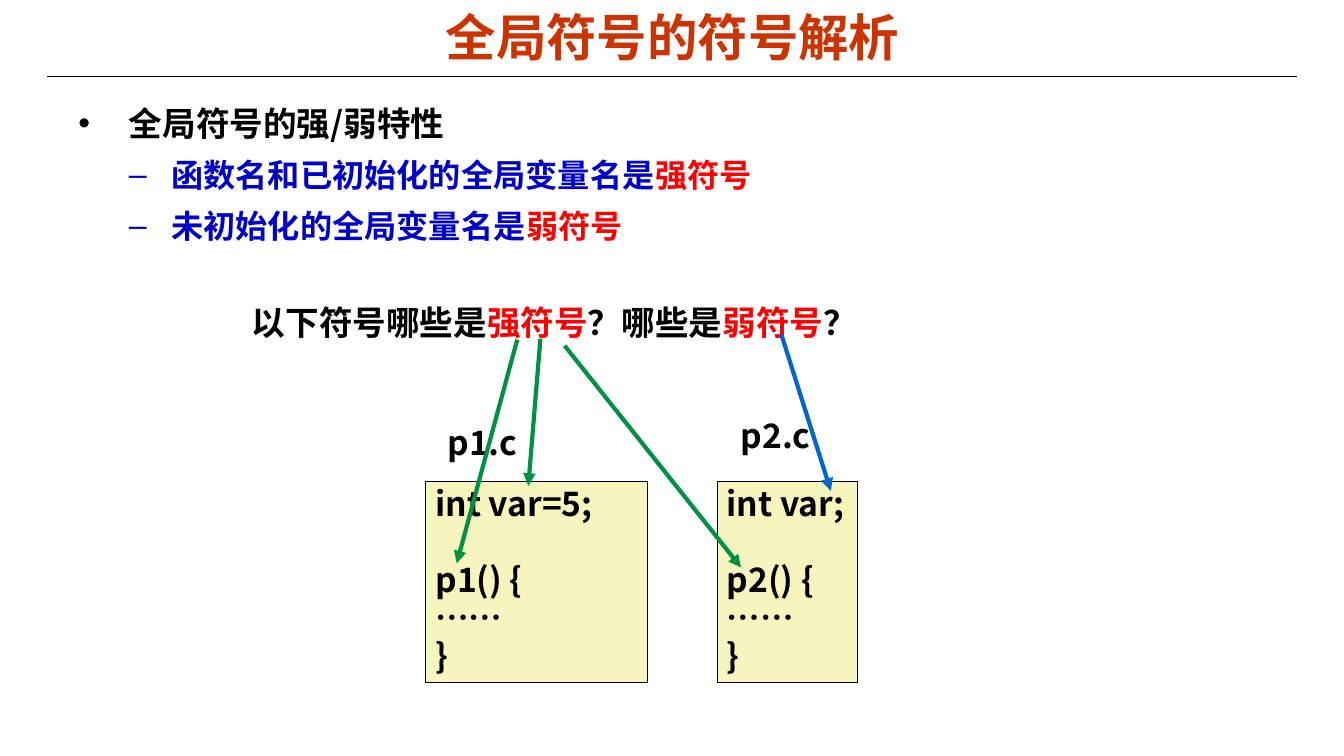
import pptx
import pptx.dml.color
import pptx.enum.shapes
import pptx.enum.text
import pptx.oxml
import pptx.oxml.ns
import pptx.util
from pptx.util import Inches, Pt

PP_ALIGN = pptx.enum.text.PP_ALIGN
ANCHOR = pptx.enum.text.MSO_ANCHOR
ARIAL, NOTO = "Arial", "Noto Sans CJK SC"
BLACK, RED, BLUE = "000000", "FF0000", "0000CC"
GREEN, ARROW_BLUE = "009242", "0066CC"


def rgb(color):
    return pptx.dml.color.RGBColor.from_string(color)


def add_element(parent, tag, **attrs):
    e = pptx.oxml.parse_xml(f"<{tag} {pptx.oxml.ns.nsdecls('a')}/>")
    for name, value in attrs.items():
        e.set(name, value)
    parent.append(e)


def add_run(p, text, size, color=BLACK, font=NOTO):
    r = p.add_run()
    r.text = text
    r.font.size = Pt(size)
    r.font.bold = True
    r.font.name = font
    r.font.color.rgb = rgb(color)
    add_element(r.font._element, "a:ea", typeface=NOTO)


def add_text(s, box, anchor=ANCHOR.TOP):
    tf = s.shapes.add_textbox(*map(Inches, box)).text_frame
    tf.word_wrap = True
    tf.vertical_anchor = anchor
    return tf


def add_bullet(p, char, left, hanging):
    pPr = p._p.get_or_add_pPr()
    pPr.set("marL", str(Inches(left)))
    pPr.set("indent", str(-Inches(hanging)))
    add_element(pPr, "a:buFont", typeface=ARIAL)
    add_element(pPr, "a:buChar", char=char)


def add_bullets(s, box, items):
    tf = add_text(s, box)
    for i, (level, runs) in enumerate(items):
        p = tf.add_paragraph() if i else tf.paragraphs[0]
        if level:
            add_bullet(p, "–", 0.92, 0.42)
            size, font = 23, ARIAL
        else:
            add_bullet(p, "•", 0.5, 0.5)
            size, font = 24, NOTO
        p.level = level
        p.line_spacing = Pt(size * 1.38)
        if i:
            p.space_before = Pt(size * 0.2)
        for text, color in runs:
            add_run(p, text, size, color, font)


def add_box(s, box, groups, fill=None, line=BLACK, wrap=False):
    sp = s.shapes.add_shape(pptx.enum.shapes.MSO_SHAPE.RECTANGLE, *map(Inches, box))
    sp.shadow.inherit = False
    if fill:
        sp.fill.solid()
        sp.fill.fore_color.rgb = rgb(fill)
    else:
        sp.fill.background()
    sp.line.color.rgb = rgb(line)
    sp.line.width = Pt(0.25)
    tf = sp.text_frame
    tf.word_wrap = wrap
    tf.vertical_anchor = ANCHOR.TOP
    p = None
    for group in groups:
        for i, text in enumerate(group):
            first = p is None
            p = tf.paragraphs[0] if first else tf.add_paragraph()
            p.alignment = PP_ALIGN.LEFT
            p.line_spacing = Pt(27)
            if i == 0 and not first:
                p.space_before = Pt(27)
            add_run(p, text, 24)


def add_line(s, start, end, color=BLACK, width=0.75, arrow=False):
    c = s.shapes.add_connector(
        pptx.enum.shapes.MSO_CONNECTOR.STRAIGHT, *map(Inches, start + end))
    c.line.color.rgb = rgb(color)
    c.line.width = Pt(width)
    if arrow:
        add_element(c.line._get_or_add_ln(), "a:tailEnd", type="triangle")
    add_element(c._element.spPr, "a:effectLst")


def main():
    prs = pptx.Presentation()
    prs.slide_width, prs.slide_height = Inches(13.33), Inches(7.5)
    s = prs.slides.add_slide(prs.slide_layouts[6])

    add_line(s, (0.47, 0.76), (12.86, 0.76))
    p = add_text(s, (0.67, 0.06, 12, 0.61), ANCHOR.MIDDLE).paragraphs[0]
    p.alignment = PP_ALIGN.CENTER
    add_run(p, "全局符号的符号解析", 36, "CC3300", ARIAL)

    add_bullets(s, (0.68, 0.91, 12, 5.71), [
        (0, [("全局符号的强/弱特性", BLACK)]),
        (1, [("函数名和已初始化的全局变量名是", BLUE), ("强符号", RED)]),
        (1, [("未初始化的全局变量名是", BLUE), ("弱符号", RED)]),
    ])

    for name, declaration, left, width, label_at, wrap in [
        ("p1", "int var=5;", 4.22, 2.2, (4.34, 4.16), True),
        ("p2", "int var;", 7.11, 1.39, (7.25, 4.09), False),
    ]:
        code = [[declaration], [f"{name}() {{", "……", "}"]]
        add_box(s, (left, 4.77, width, 2), code, fill="F6F5BD", wrap=wrap)
        add_box(s, label_at + (0.9, 0.48), [[f"{name}.c"]], line="FFFFFF")

    p = add_text(s, (2.4, 2.94, 6.97, 0.5)).paragraphs[0]
    p.line_spacing = Pt(29)
    for text, color in [("以下符号哪些是", BLACK), ("强符号", RED),
                        ("？哪些是", BLACK), ("弱符号", RED), ("？", BLACK)]:
        add_run(p, text, 24, color, ARIAL)

    for start, end, color in [
        ((5.36, 3.36), (5.24, 4.82), GREEN),
        ((5.13, 3.37), (4.53, 5.59), GREEN),
        ((5.6, 3.43), (7.35, 5.63), GREEN),
        ((7.75, 3.32), (8.24, 4.87), ARROW_BLUE),
    ]:
        add_line(s, start, end, color, 3, arrow=True)

    prs.save("out.pptx")


if __name__ == "__main__":
    main()
